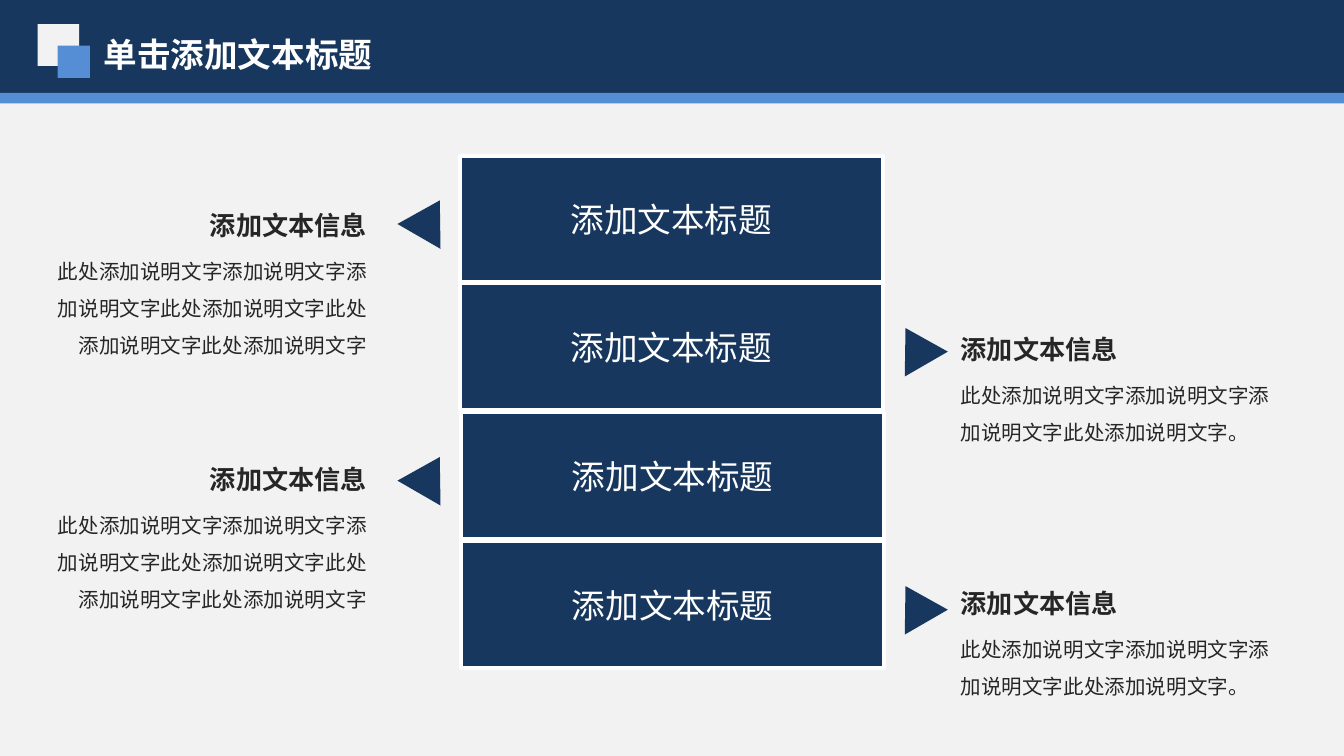
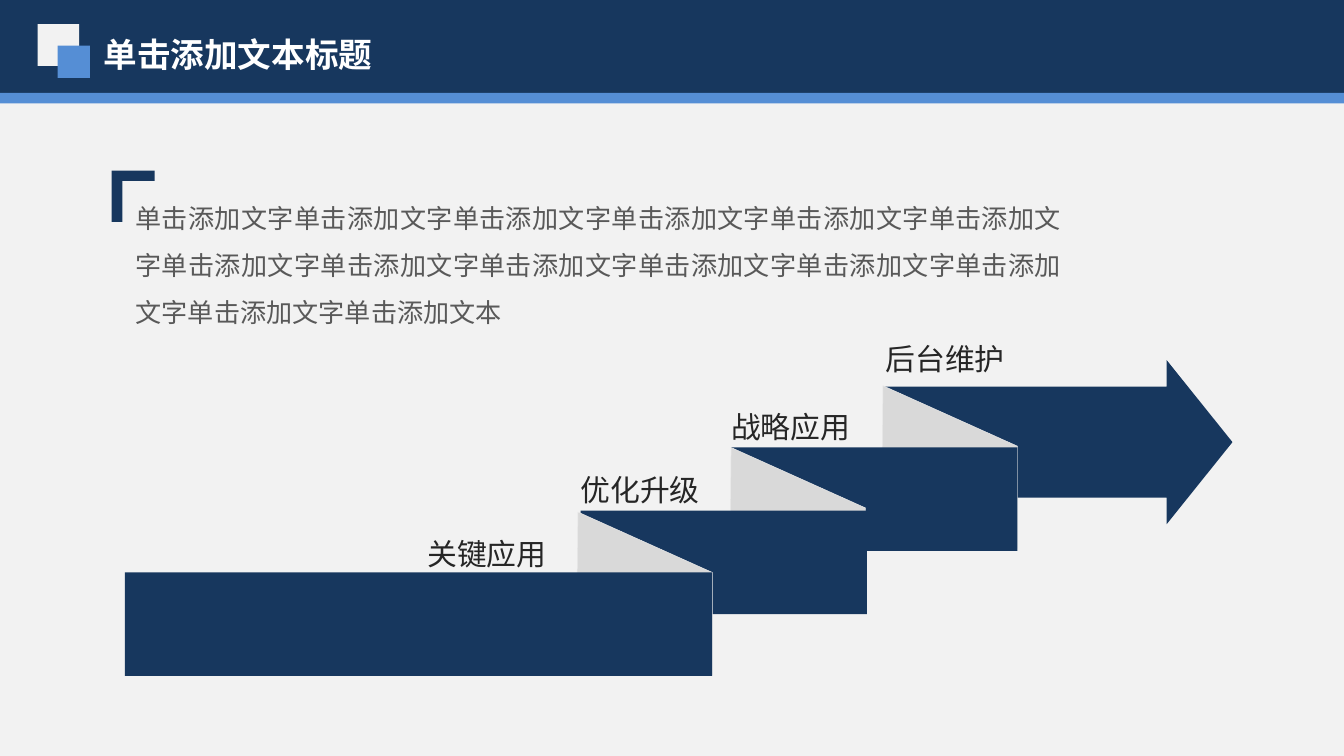
from dataclasses import dataclass

from lxml.etree import SubElement
from pptx import Presentation
from pptx.dml.color import RGBColor
from pptx.enum.shapes import MSO_SHAPE
from pptx.enum.text import MSO_ANCHOR, MSO_AUTO_SIZE, PP_ALIGN
from pptx.oxml.ns import qn
from pptx.util import Emu, Pt

RECTANGLE = MSO_SHAPE.RECTANGLE
TRIANGLE = MSO_SHAPE.ISOSCELES_TRIANGLE
ARROW = MSO_SHAPE.RIGHT_ARROW
CORNER = MSO_SHAPE.CORNER
LEFT, CENTER, RIGHT, JUSTIFY = PP_ALIGN.LEFT, PP_ALIGN.CENTER, PP_ALIGN.RIGHT, PP_ALIGN.JUSTIFY
TOP, MIDDLE = MSO_ANCHOR.TOP, MSO_ANCHOR.MIDDLE
GROW = MSO_AUTO_SIZE.SHAPE_TO_FIT_TEXT

EMU_PER_PX = 9144
SLIDE_WIDTH = 1000
TITLE_ONLY = 5


@dataclass(frozen=True)
class Theme:
    font: str = "Noto Sans CJK SC"
    navy: str = "17375E"
    blue: str = "558ED5"
    white: str = "FFFFFF"
    paper: str = "F2F2F2"
    ink: str = "262626"
    gray: str = "595959"
    fold: str = "D9D9D9"
    fold_edge: str = "EAEAEA"
    title_size: int = 18
    label_size: int = 16
    heading_size: int = 14
    detail_size: int = 11


THEME = Theme()


def px(length):
    return Emu(length * EMU_PER_PX)


class Deck:
    def __init__(self, theme):
        self.theme = theme
        self.presentation = Presentation()
        self.presentation.slide_width = px(SLIDE_WIDTH)
        self.presentation.slide_height = px(SLIDE_WIDTH) * 9 // 16
        background = self.presentation.slide_master.background.fill
        background.solid()
        background.fore_color.rgb = RGBColor.from_string(theme.paper)
        self.slide = None

    def add_slide(self, title):
        theme = self.theme
        layout = self.presentation.slide_layouts[TITLE_ONLY]
        self.slide = self.presentation.slides.add_slide(layout)
        self.shape(RECTANGLE, (0, 0, SLIDE_WIDTH, 76), theme.navy)
        self.shape(RECTANGLE, (0, 69, SLIDE_WIDTH, 8), theme.blue)
        self.title(title)
        self.shape(RECTANGLE, (28, 18, 31, 31), theme.paper)
        self.shape(RECTANGLE, (43, 34, 24, 24), theme.blue)

    def title(self, text):
        shape = self.slide.shapes.title
        shape.element.getparent().append(shape.element)
        shape.left, shape.top, shape.width, shape.height = map(px, (67, 20, 252, 40))
        frame = shape.text_frame
        frame.auto_size = GROW
        frame.vertical_anchor = TOP
        self.paragraph(frame.paragraphs[0], text, self.theme.title_size, self.theme.white, bold=True)

    def paint(self, shape, fill, line=None, line_width=0):
        shape.shadow.inherit = False
        shape.fill.solid()
        shape.fill.fore_color.rgb = RGBColor.from_string(fill)
        if line:
            shape.line.color.rgb = RGBColor.from_string(line)
            shape.line.width = Pt(line_width)
        else:
            shape.line.fill.background()

    def shape(self, kind, box, fill, line=None, line_width=0, rotation=0, adjustments=()):
        shape = self.slide.shapes.add_shape(kind, *map(px, box))
        self.paint(shape, fill, line, line_width)
        shape.rotation = rotation
        for index, value in enumerate(adjustments):
            shape.adjustments[index] = value
        return shape

    def polygon(self, points, fill, line, line_width):
        builder = self.slide.shapes.build_freeform(*points[0], scale=EMU_PER_PX)
        builder.add_line_segments(points[1:], close=True)
        self.paint(builder.convert_to_shape(), fill, line, line_width)

    def paragraph(self, paragraph, text, size, color, bold=False, align=LEFT, spacing=1.0, before=0):
        paragraph.alignment = align
        paragraph.line_spacing = spacing
        if before:
            paragraph.space_before = Pt(before)
        run = paragraph.add_run()
        run.text = text
        run.font.size = Pt(size)
        run.font.bold = bold
        run.font.color.rgb = RGBColor.from_string(color)
        run.font.name = self.theme.font
        SubElement(run._r.get_or_add_rPr(), qn("a:ea")).set("typeface", self.theme.font)

    def text_box(self, box):
        frame = self.slide.shapes.add_textbox(*map(px, box)).text_frame
        frame.word_wrap = True
        return frame

    def bar(self, box, text):
        theme = self.theme
        frame = self.shape(RECTANGLE, box, theme.navy, theme.white, 2).text_frame
        frame.vertical_anchor = MIDDLE
        self.paragraph(frame.paragraphs[0], text, theme.title_size, theme.white, align=CENTER)

    def note(self, left, top, heading, detail, align):
        theme = self.theme
        frame = self.text_box((left, top, 263, 119))
        self.paragraph(frame.paragraphs[0], heading, theme.heading_size, theme.ink, bold=True, align=align)
        self.paragraph(frame.add_paragraph(), detail, theme.detail_size, theme.ink,
                       align=align, spacing=1.5, before=3)

    def step_label(self, left, top, text):
        frame = self.text_box((left, top, 108, 30))
        frame.auto_size = GROW
        frame.vertical_anchor = MIDDLE
        frame.margin_left = frame.margin_top = frame.margin_bottom = 0
        frame.margin_right = px(9)
        self.paragraph(frame.paragraphs[0], text, self.theme.label_size, self.theme.ink, spacing=1.2)

    def body(self, box, text):
        frame = self.text_box(box)
        frame.auto_size = GROW
        self.paragraph(frame.paragraphs[0], text, self.theme.heading_size, self.theme.gray,
                       align=JUSTIFY, spacing=1.5)


def build_stack(deck):
    deck.add_slide("单击添加文本标题")
    phrase = "此处添加说明文字添加说明文字添加说明文字此处添加说明文字"
    sides = (
        (301, 30, 20, RIGHT, phrase + "此处添加说明文字" * 2),
        (663, 330, 705, LEFT, phrase + "。"),
    )
    for index in range(4):
        pair, side = divmod(index, 2)
        pointer_left, rotation, note_left, align, detail = sides[side]
        top = 116 + index * 287 // 3
        deck.bar((342 + pair, top, 315, 94), "添加文本标题")
        deck.shape(TRIANGLE, (pointer_left, top + 31, 37, 31), deck.theme.navy, rotation=rotation)
        deck.note(note_left, 151 + pair * 189 + side * 92, "添加文本信息", detail, align)


def build_steps(deck):
    theme = deck.theme
    deck.add_slide("单击添加文本标题")
    deck.shape(ARROW, (658, 268, 259, 122), theme.navy, adjustments=(0.677, 0.401))
    folds = ((657, 287), (544, 333), (430, 381))
    blocks = ((544, 333, 213, 77), (432, 380, 213, 77), (93, 426, 437, 77))
    fold_outline = ((0, 0), (100, 45), (100, 121), (-1, 84))
    for (left, top), block in zip(folds, blocks):
        points = [(left + x, top + y) for x, y in fold_outline]
        deck.polygon(points, theme.fold, theme.fold_edge, 0.25)
        deck.shape(RECTANGLE, block, theme.navy)
    for left, top, text in (
        (659, 249, "后台维护"),
        (544, 300, "战略应用"),
        (432, 347, "优化升级"),
        (318, 394, "关键应用"),
    ):
        deck.step_label(left, top, text)
    deck.body((91, 134, 709, 116), "单击添加文字" * 13 + "单击添加文本")
    deck.shape(CORNER, (80, 130, 38, 32), theme.navy, rotation=90, adjustments=(0.25, 0.235))


def main():
    deck = Deck(THEME)
    build_stack(deck)
    build_steps(deck)
    deck.presentation.save("out.pptx")


if __name__ == "__main__":
    main()
